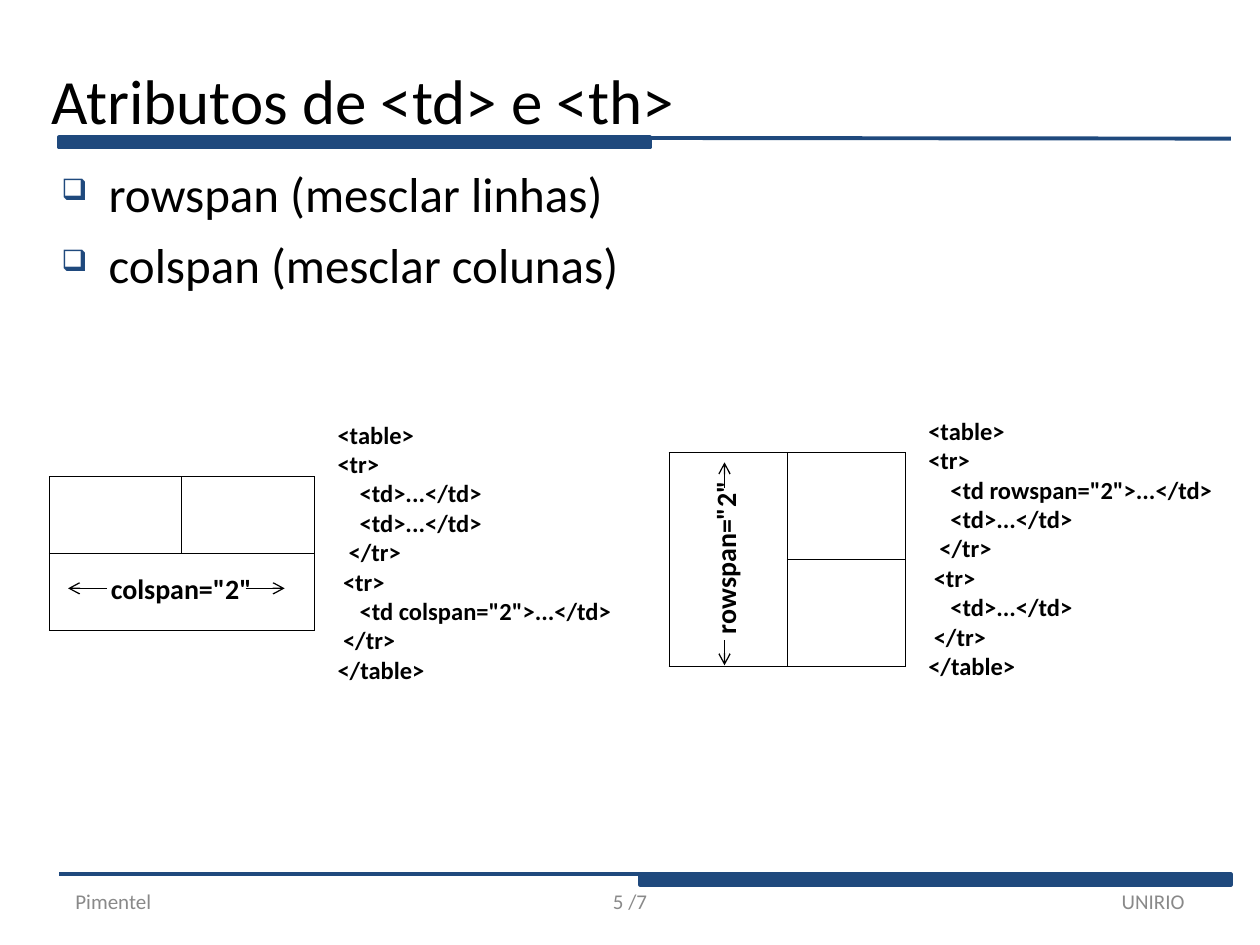
"""Slide on the rowspan and colspan attributes of HTML table cells."""
import pptx
import pptx.dml.color
import pptx.enum.shapes
import pptx.enum.text
import pptx.oxml
import pptx.oxml.ns
import pptx.util

Pt = pptx.util.Pt
RGB = pptx.dml.color.RGBColor.from_string
ALIGN = pptx.enum.text.PP_ALIGN
ANCHOR = pptx.enum.text.MSO_ANCHOR
COLORS = {"navy": "1F497D", "black": "000000", "gray": "898989"}
NAMESPACE = pptx.oxml.ns.nsdecls("a")
SPACE_WIDTH = 3.16

presentation = pptx.Presentation()
presentation.slide_width, presentation.slide_height = Pt(720), Pt(540)
slide = presentation.slides.add_slide(presentation.slide_layouts[6])


def add_text(box, lines, size, color="black", bold=False, align=ALIGN.LEFT,
             anchor=ANCHOR.TOP, wrap=True):
    shape = slide.shapes.add_textbox(*map(Pt, box))
    frame = shape.text_frame
    frame.word_wrap = wrap
    frame.vertical_anchor = anchor
    for index, line in enumerate(lines):
        paragraph = frame.paragraphs[0] if index == 0 else frame.add_paragraph()
        paragraph.alignment = align
        run = paragraph.add_run()
        run.text = line
        run.font.name = "Calibri"
        run.font.size = Pt(size)
        run.font.bold = bold
        run.font.color.rgb = RGB(COLORS[color])
    return shape


def add_line(start, end, color, width, arrow=False):
    connector = slide.shapes.add_connector(
        pptx.enum.shapes.MSO_CONNECTOR.STRAIGHT, *map(Pt, start + end))
    connector.line.color.rgb = RGB(COLORS[color])
    connector.line.width = Pt(width)
    if arrow:
        connector.line._get_or_add_ln().append(
            pptx.oxml.parse_xml(f'<a:tailEnd {NAMESPACE} type="arrow"/>'))
    connector._element.spPr.append(
        pptx.oxml.parse_xml(f"<a:effectLst {NAMESPACE}/>"))


for bar_left, bar_top, line_end in ((33.8, 78.5, 79.2), (365.8, 499.7, 499.7)):
    add_line((33.8, bar_top), (703.4, line_end), "navy", 2.25)
    bar = slide.shapes.add_shape(
        pptx.enum.shapes.MSO_SHAPE.RECTANGLE,
        Pt(bar_left), Pt(bar_top), Pt(337.6), Pt(5.8))
    bar.shadow.inherit = False
    bar.fill.solid()
    bar.fill.fore_color.rgb = RGB(COLORS["navy"])
    bar.line.color.rgb = RGB(COLORS["navy"])
    bar.line.width = Pt(2.25)

add_text((22.3, 11.5, 648, 90), ["Atributos de <td> e <th>"], 36,
         anchor=ANCHOR.MIDDLE)

for left, width, text, align in (
        (36, 168, "Pimentel", ALIGN.LEFT),
        (246, 228, "5 /7", ALIGN.CENTER),
        (516, 168, "UNIRIO", ALIGN.RIGHT)):
    add_text((left, 500.4, width, 28.8), [text], 12, "gray", align=align,
             anchor=ANCHOR.MIDDLE)

body = add_text((28, 90, 680.4, 392.4),
                ["rowspan (mesclar linhas)", "colspan (mesclar colunas)"], 28)
for paragraph in body.text_frame.paragraphs:
    paragraph.space_before = Pt(7)
    properties = paragraph._p.get_or_add_pPr()
    properties.set("marL", str(Pt(27)))
    properties.set("indent", str(Pt(-27)))
    for bullet in (
            f'<a:buClr {NAMESPACE}><a:srgbClr val="{COLORS["navy"]}"/></a:buClr>',
            f'<a:buSzPct {NAMESPACE} val="60000"/>',
            f'<a:buChar {NAMESPACE} char="❑"/>'):
        properties.append(pptx.oxml.parse_xml(bullet))

CODE_INDENTS = (0, 0, 4, 4, 2, 1, 4, 1, 0)
CELL = "<td>...</td>"
for box, first, second, third in (
        ((185.8, 236.2, 196.6, 158.4), CELL, CELL, '<td colspan="2">...</td>'),
        ((523.4, 234, 180, 158.4), '<td rowspan="2">...</td>', CELL, CELL)):
    code = add_text(box, ["<table>", "<tr>", first, second, "</tr>",
                          "<tr>", third, "</tr>", "</table>"], 14, bold=True)
    for paragraph, spaces in zip(code.text_frame.paragraphs, CODE_INDENTS):
        paragraph._p.get_or_add_pPr().set("marL", str(Pt(spaces * SPACE_WIDTH)))

for left, top, column_width, row_height, merge_start, merge_end in (
        (28.1, 272.2, 75.8, 44.1, (1, 0), (1, 1)),
        (382.3, 258.5, 67.5, 61.2, (0, 0), (1, 0))):
    table = slide.shapes.add_table(
        2, 2, Pt(left), Pt(top), Pt(2 * column_width), Pt(2 * row_height)).table
    table.first_row = table.horz_banding = False
    for cell in table.iter_cells():
        cell.fill.background()
        for position, side in enumerate(("lnL", "lnR", "lnT", "lnB")):
            cell._tc.get_or_add_tcPr().insert(position, pptx.oxml.parse_xml(
                f'<a:{side} {NAMESPACE} w="{Pt(0.45)}"><a:solidFill>'
                f'<a:srgbClr val="{COLORS["black"]}"/></a:solidFill></a:{side}>'))
    table.cell(*merge_start).merge(table.cell(*merge_end))

add_text((56.2, 323.3, 95, 26.6), ['colspan="2"'], 16, bold=True, wrap=False)
rowspan_label = add_text((363.6, 305.3, 101.5, 26.6), ['rowspan="2"'], 16,
                         bold=True, wrap=False)
rowspan_label.rotation = 270

for start, end in (
        ((140.4, 336.2), (162.7, 336.2)),
        ((61.2, 336.2), (38.9, 336.2)),
        ((414, 278.6), (414, 264.2)),
        ((414, 365.8), (414, 380.2))):
    add_line(start, end, "black", 0.75, arrow=True)

presentation.save("out.pptx")
